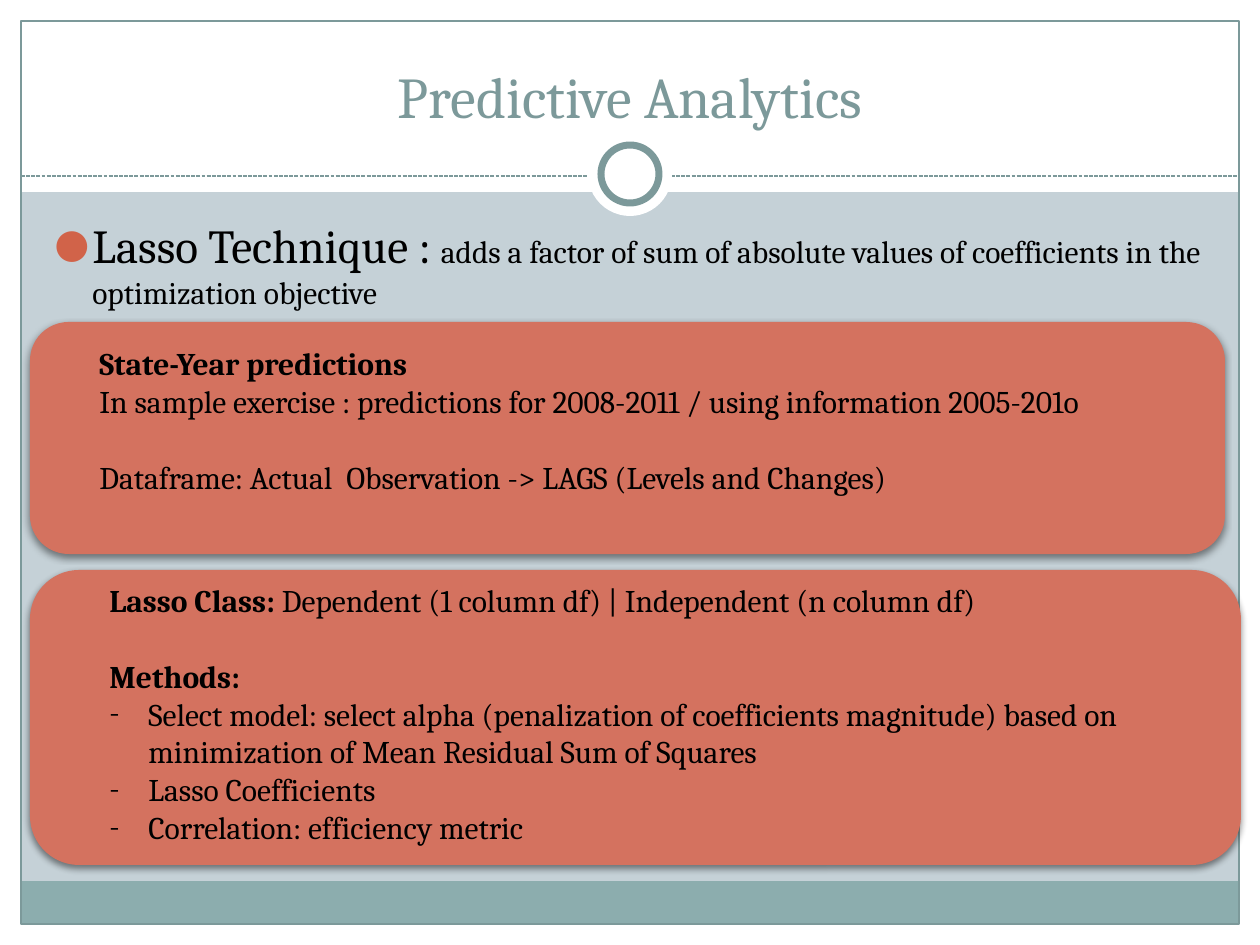
from lxml import etree
from pptx import Presentation
from pptx.dml.color import RGBColor
from pptx.enum.dml import MSO_LINE
from pptx.enum.shapes import MSO_CONNECTOR, MSO_SHAPE
from pptx.enum.text import MSO_ANCHOR, PP_ALIGN
from pptx.oxml.ns import qn
from pptx.util import Emu, Pt

RECT = MSO_SHAPE.RECTANGLE
OVAL = MSO_SHAPE.OVAL
ROUNDED = MSO_SHAPE.ROUNDED_RECTANGLE
STRAIGHT = MSO_CONNECTOR.STRAIGHT
DASH = MSO_LINE.SQUARE_DOT
TOP, BOTTOM = MSO_ANCHOR.TOP, MSO_ANCHOR.BOTTOM
LEFT, CENTER = PP_ALIGN.LEFT, PP_ALIGN.CENTER

WHITE = RGBColor(0xFF, 0xFF, 0xFF)
BLACK = RGBColor(0, 0, 0)
BACKDROP = RGBColor(0xC5, 0xD1, 0xD7)
FOOTER = RGBColor(0x8C, 0xAD, 0xAE)
TEAL = RGBColor(0x7C, 0x99, 0x9A)
CORAL = RGBColor(0xD4, 0x72, 0x5F)
BULLET = RGBColor(0xD1, 0x63, 0x49)

FONT = "Cambria"
WIDTH, HEIGHT = 1260, 945
MARGIN = 21
HEADER_HEIGHT = 192
LINE_GAP = 21.6


def px(length):
    return Emu(round(length * 914400 / 126))


def add_panel(slide, kind, box, fill=None, line=None, weight=0.75):
    panel = slide.shapes.add_shape(kind, *map(px, box))
    panel.shadow.inherit = False
    if fill is None:
        panel.fill.background()
    else:
        panel.fill.solid()
        panel.fill.fore_color.rgb = fill
    if line is None:
        panel.line.fill.background()
    else:
        panel.line.color.rgb = line
        panel.line.width = Pt(weight)
    return panel


def add_card(slide, box):
    card = add_panel(slide, ROUNDED, box, CORAL)
    effects = card._element.spPr.find(qn("a:effectLst"))
    shadow = etree.SubElement(effects, qn("a:outerShdw"), blurRad=str(Pt(4)),
                              dist=str(Pt(2)), dir="5400000", rotWithShape="0")
    color = etree.SubElement(shadow, qn("a:srgbClr"), val=str(BLACK))
    etree.SubElement(color, qn("a:alpha"), val="45000")


def add_divider(slide, y):
    divider = slide.shapes.add_connector(
        STRAIGHT, px(MARGIN), px(y), px(WIDTH - MARGIN), px(y))
    divider.line.color.rgb = TEAL
    divider.line.width = Pt(0.75)
    divider.line.dash_style = DASH
    etree.SubElement(divider._element.spPr, qn("a:effectLst"))


def add_bullet(paragraph, mark, indent, color=None, percent=100):
    properties = paragraph._p.get_or_add_pPr()
    properties.set("marL", str(px(indent)))
    properties.set("indent", str(-px(indent)))
    if color is not None:
        bullet_color = etree.SubElement(properties, qn("a:buClr"))
        etree.SubElement(bullet_color, qn("a:srgbClr"), val=str(color))
    etree.SubElement(properties, qn("a:buSzPct"), val=str(percent * 1000))
    etree.SubElement(properties, qn("a:buFont"), typeface=FONT)
    etree.SubElement(properties, qn("a:buChar"), char=mark)


def add_text(slide, box, paragraphs, color=BLACK, align=LEFT, anchor=TOP):
    frame = slide.shapes.add_textbox(*map(px, box)).text_frame
    frame.word_wrap = True
    frame.vertical_anchor = anchor
    for index, (runs, layout) in enumerate(paragraphs):
        paragraph = frame.add_paragraph() if index else frame.paragraphs[0]
        paragraph.alignment = align
        if "before" in layout:
            paragraph.space_before = Pt(layout["before"])
        if "bullet" in layout:
            add_bullet(paragraph, **layout["bullet"])
        for text, size, bold in runs:
            run = paragraph.add_run()
            run.text = text
            run.font.name = FONT
            run.font.size = Pt(size)
            run.font.bold = bold
            run.font.color.rgb = color


def add_frame(slide):
    edges = [
        (0, HEIGHT - MARGIN, WIDTH, MARGIN),
        (0, 0, WIDTH, HEADER_HEIGHT),
        (0, 0, MARGIN, HEIGHT),
        (WIDTH - MARGIN, 0, MARGIN, HEIGHT),
    ]
    for edge in edges:
        add_panel(slide, RECT, edge, WHITE)
    inner_width = WIDTH - 2 * MARGIN
    add_panel(slide, RECT, (MARGIN, 881, inner_width, 43), FOOTER)
    add_panel(slide, RECT, (MARGIN, MARGIN, inner_width, HEIGHT - 2 * MARGIN),
              line=TEAL)
    add_divider(slide, 176)
    for diameter, line in ((84, None), (58, TEAL)):
        ring = (WIDTH / 2 - diameter / 2, 174 - diameter / 2, diameter, diameter)
        add_panel(slide, OVAL, ring, WHITE, line, weight=4)


def main():
    presentation = Presentation()
    presentation.slide_width = px(WIDTH)
    presentation.slide_height = px(HEIGHT)
    slide = presentation.slides.add_slide(presentation.slide_layouts[6])
    slide.background.fill.solid()
    slide.background.fill.fore_color.rgb = BACKDROP

    add_frame(slide)
    add_text(slide, (42, 32, 1176, 104),
             [([("Predictive Analytics", 33, False)], {})],
             color=TEAL, align=CENTER, anchor=BOTTOM)

    dot = {"mark": "●", "indent": 38, "color": BULLET, "percent": 85}
    add_text(slide, (42, 210, 1172, 110), [
        ([("Lasso Technique : ", 27, False),
          ("adds a factor of sum of absolute values of coefficients in the "
           "optimization objective", 18, False)], {"bullet": dot}),
    ])

    add_card(slide, (30, 322, 1195, 232))
    add_text(slide, (87, 338, 1173, 242), [
        ([("State-Year predictions", 18, True)], {}),
        ([("In sample exercise : predictions for 2008-2011 / using "
           "information 2005-201o", 18, False)], {}),
        ([("Dataframe: Actual  Observation -> LAGS (Levels and Changes)",
           18, False)], {"before": LINE_GAP}),
    ])

    add_card(slide, (30, 570, 1211, 295))
    methods = [
        "Select model: select alpha (penalization of coefficients magnitude) "
        "based on minimization of Mean Residual Sum of Squares",
        "Lasso Coefficients",
        "Correlation: efficiency metric",
    ]
    dash = {"mark": "-", "indent": 39}
    add_text(slide, (97, 575, 1168, 432), [
        ([("Lasso Class: ", 18, True),
          ("Dependent (1 column df) | Independent (n column df)", 18, False)], {}),
        ([("Methods:", 18, True)], {"before": LINE_GAP}),
        *[([(method, 18, False)], {"bullet": dash}) for method in methods],
    ])

    presentation.save("out.pptx")


if __name__ == "__main__":
    main()
